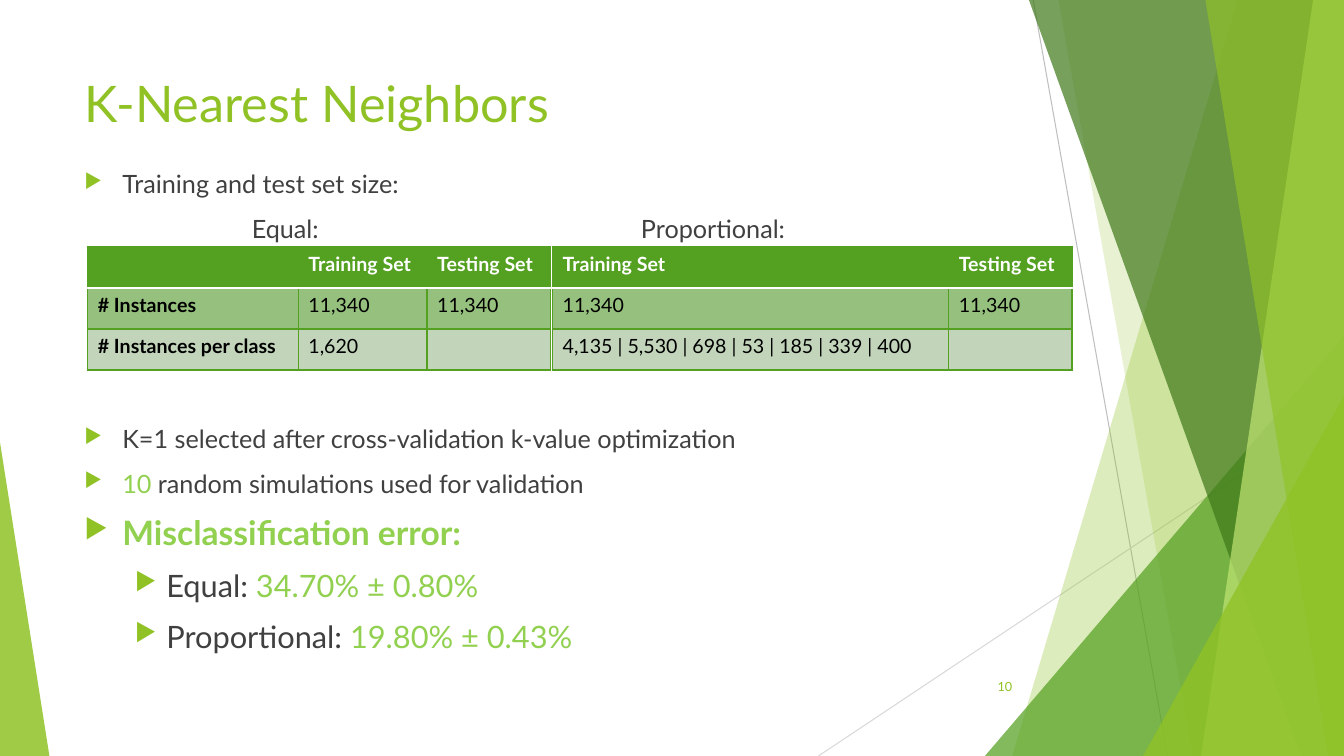
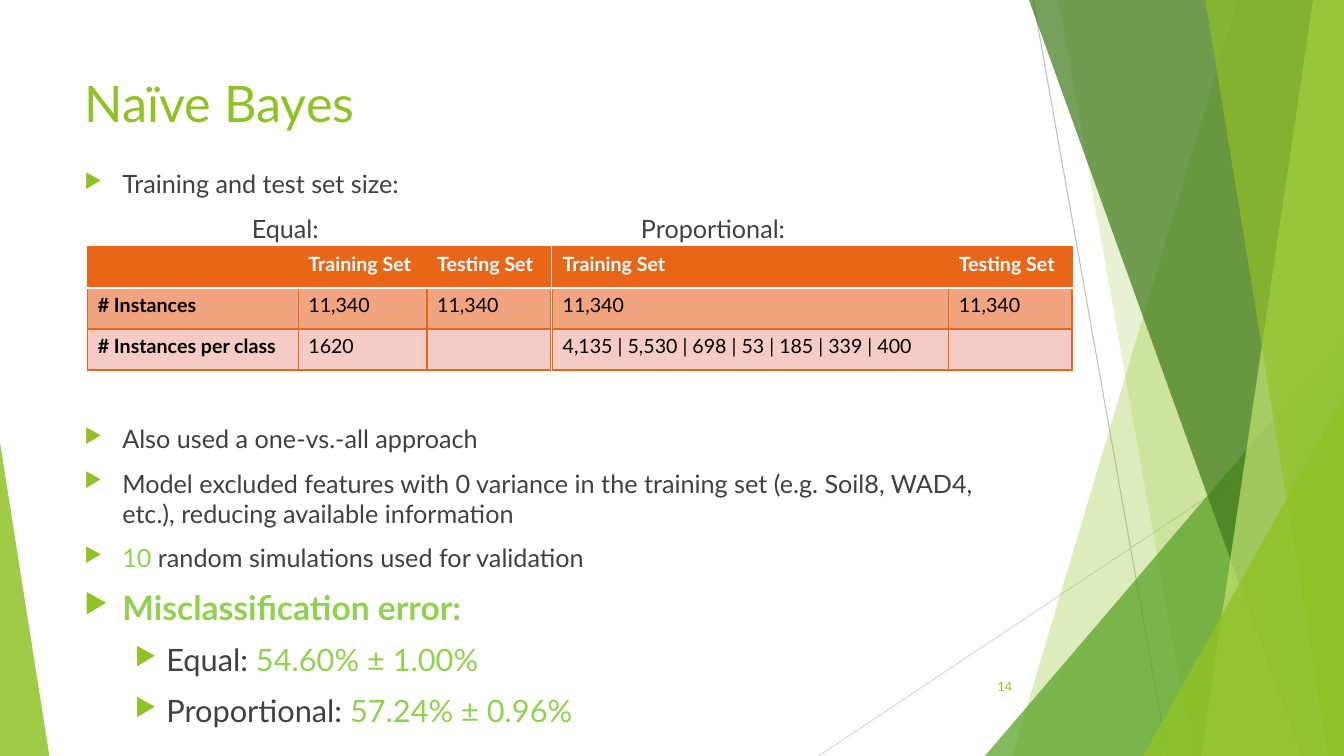
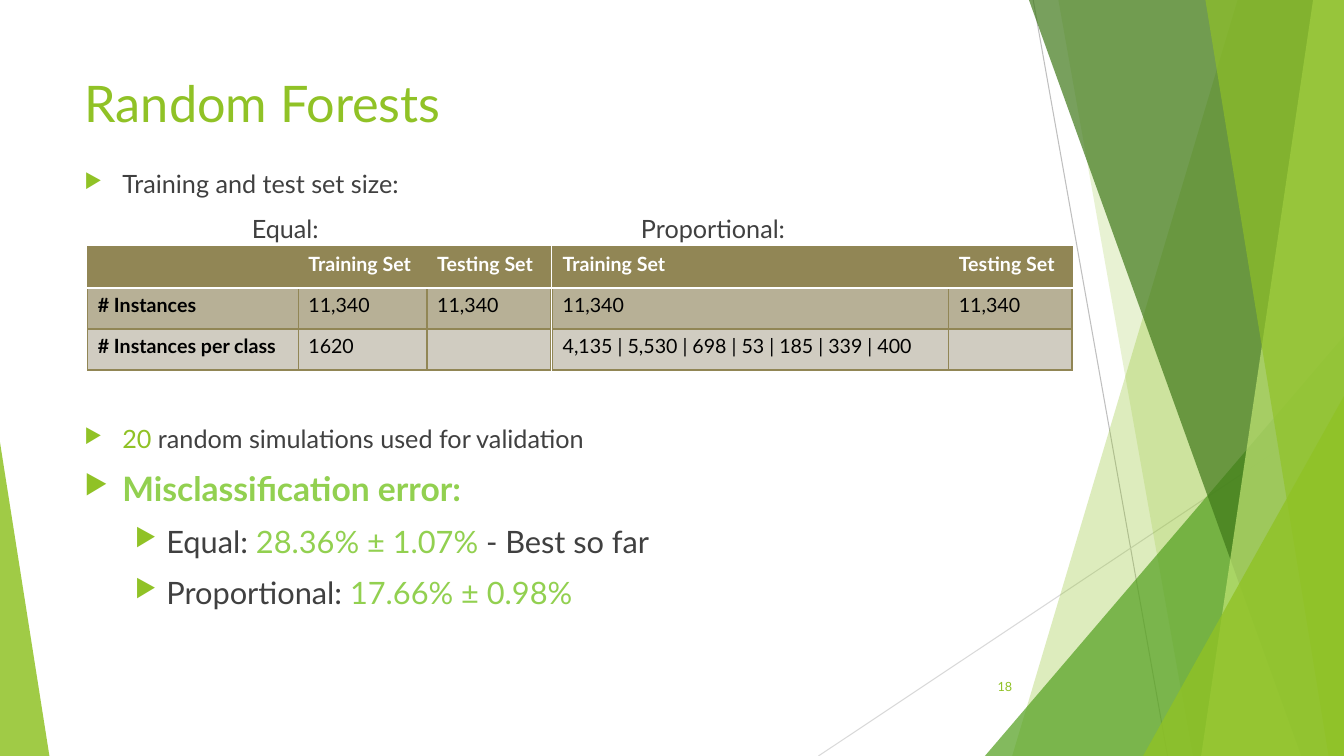
"""Builds three classifier result slides with a shared green facet design."""
from dataclasses import dataclass
from typing import Union

from lxml.etree import SubElement as Sub
from pptx import Presentation
from pptx.dml.color import RGBColor
from pptx.enum.shapes import MSO_CONNECTOR as Conn, MSO_SHAPE as Form
from pptx.enum.text import MSO_ANCHOR as Anchor, MSO_AUTO_SIZE as Fit, PP_ALIGN as Align
from pptx.oxml.ns import qn
from pptx.util import Pt

WIDTH, HEIGHT = 960, 540
FONT = "Lato"
GREEN, LEAF, MOSS, PALE = "90C226", "54A021", "3F7819", "C0E474"
DARK, LIME, WHITE, BLACK = "404040", "92D050", "FFFFFF", "000000"
LEFT, WIDE = 53.3, 676.8
GRID_TOP, ROW = 176.4, 29.3
HANG = ((27, 27), (58.5, 22.5))


@dataclass
class Facet:
    """A band from the top edge to the foot, filled out to the right edge."""
    top: float
    foot: float
    color: str
    alpha: int


@dataclass
class Wedge:
    """A right triangle standing on the foot of the slide."""
    left: float
    top: float
    width: float
    apex: int
    color: str
    alpha: int


@dataclass
class Ray:
    """A thin straight line."""
    start: tuple[float, float]
    end: tuple[float, float]
    color: str


@dataclass
class Run:
    """A piece of text, with a colour where it differs from its line."""
    text: str
    color: str = ""


@dataclass
class Line:
    """A bulleted paragraph."""
    runs: list[Run]
    size: int = 18
    level: int = 0
    color: str = DARK
    bold: bool = False


@dataclass
class Tint:
    """The header and row colours of a table."""
    head: str
    mid: str
    pale: str


@dataclass
class Grid:
    """A table, the label above it and its places."""
    label: str
    mark: float
    left: float
    cols: list[float]
    rows: list[list[str]]
    names: bool = False


@dataclass
class Page:
    """The content of one slide."""
    title: str
    number: str
    tint: Tint
    count: str
    notes: list[Line]
    equal: list[Run]
    prop: str


RAYS = [
    Ray((738, 0), (834, HEIGHT), "BFBFBF"),
    Ray((WIDTH, 290), (584.6, HEIGHT), "D9D9D9"),
]
DECOR = [
    Facet(884, 723, GREEN, 30),
    Facet(756, 852, GREEN, 20),
    Wedge(703.5, 240, 256.5, 1, LEAF, 72),
    Facet(735, 929.5, MOSS, 70),
    Facet(938, 858, PALE, 70),
    Facet(861, 949, GREEN, 65),
    Wedge(816.5, 283, 143.5, 1, GREEN, 80),
    Wedge(0, 316, 35.3, 0, GREEN, 85),
]
SIZES = Line([Run("Training and test set size:")])
RANDOM = " random simulations used for validation"
PAGES = [
    Page("K-Nearest Neighbors", "10", Tint(LEAF, "96C07D", "C2D5BB"), "1,620",
         [Line([Run("K=1 selected after cross-validation k-value optimization")]),
          Line([Run("10", LIME), Run(RANDOM)])],
         [Run("34.70% ± 0.80%", LIME)], "19.80% ± 0.43%"),
    Page("Naïve Bayes", "14", Tint("E76618", "F0A480", "F5CCC5"), "1620",
         [Line([Run("Also used a one-vs.-all approach")]),
          Line([Run("Model excluded features with 0 variance in the training set "
                    "(e.g. Soil8, WAD4, etc.), reducing available information")]),
          Line([Run("10", LIME), Run(RANDOM)])],
         [Run("54.60% ± 1.00%", LIME)], "57.24% ± 0.96%"),
    Page("Random Forests", "18", Tint("918655", "B7B096", "D0CCC1"), "1620",
         [Line([Run("20", GREEN), Run(RANDOM)])],
         [Run("28.36% ± 1.07% ", LIME), Run("- Best so far")], "17.66% ± 0.98%"),
]


def rgb(code: str) -> RGBColor:
    """Turn a hex string into a colour."""
    return RGBColor.from_string(code)


def style(font, size: float, color: str, bold: bool = False) -> None:
    """Set the shared typeface with size, colour and weight."""
    font.name, font.size, font.bold = FONT, Pt(size), bold
    font.color.rgb = rgb(color)


def draw_ray(slide, ray: Ray):
    """Draw a thin line without a shadow."""
    line = slide.shapes.add_connector(Conn.STRAIGHT, *map(Pt, ray.start + ray.end))
    line.line.color.rgb = rgb(ray.color)
    line.line.width = Pt(0.75)
    Sub(line.element.spPr, qn("a:effectLst"))
    return line


def draw_part(slide, part: Union[Facet, Wedge]):
    """Draw one translucent part of the design."""
    if isinstance(part, Facet):
        pen = slide.shapes.build_freeform(Pt(part.top), 0)
        corners = ((WIDTH, 0), (WIDTH, HEIGHT), (part.foot, HEIGHT))
        pen.add_line_segments([(Pt(x), Pt(y)) for x, y in corners], close=True)
        shape = pen.convert_to_shape()
    else:
        shape = slide.shapes.add_shape(
            Form.ISOSCELES_TRIANGLE, Pt(part.left), Pt(part.top),
            Pt(part.width), Pt(HEIGHT - part.top))
        shape.adjustments[0] = part.apex
    shape.fill.solid()
    shape.fill.fore_color.rgb = rgb(part.color)
    tone = shape.element.spPr.find(".//" + qn("a:srgbClr"))
    Sub(tone, qn("a:alpha"), val=str(part.alpha * 1000))
    shape.line.fill.background()
    shape.shadow.inherit = False
    return shape


def share_decor(slide) -> None:
    """Draw the design and move it to the layout of the slide."""
    parts = [draw_ray(slide, ray) for ray in RAYS]
    parts += [draw_part(slide, part) for part in DECOR]
    for part in parts:
        slide.slide_layout.shapes.element.append(part.element)


def add_title(slide, text: str) -> None:
    """Place and format the title."""
    title = slide.shapes.title
    title.left, title.top = Pt(LEFT), Pt(48.2)
    title.width, title.height = Pt(WIDE), Pt(103.7)
    frame = title.text_frame
    frame.text = text
    frame.vertical_anchor, frame.auto_size = Anchor.TOP, Fit.NONE
    para = frame.paragraphs[0]
    para.alignment = Align.LEFT
    style(para.font, 36, GREEN)


def add_box(slide, left: float, top: float, width: float, height: float):
    """Add a wrapping text box and return its frame."""
    box = slide.shapes.add_textbox(Pt(left), Pt(top), Pt(width), Pt(height))
    box.text_frame.word_wrap = True
    return box.text_frame


def add_text(slide, text: str, left: float, top: float, width: float, size: float,
             color: str, align: Align = Align.LEFT) -> None:
    """Add a single line of text."""
    frame = add_box(slide, left, top, width, 28.8)
    frame.vertical_anchor = Anchor.MIDDLE
    para = frame.paragraphs[0]
    para.text, para.alignment = text, align
    style(para.font, size, color)


def add_mark(para, level: int) -> None:
    """Give a paragraph its hanging triangle bullet."""
    props = para._p.get_or_add_pPr()
    left, hang = HANG[level]
    props.set("marL", str(Pt(left)))
    props.set("indent", str(-Pt(hang)))
    Sub(Sub(props, qn("a:buClr")), qn("a:srgbClr"), val=GREEN)
    Sub(props, qn("a:buSzPct"), val="80000")
    Sub(props, qn("a:buChar"), char="▶")


def add_list(slide, top: float, height: float, lines: list[Line]) -> None:
    """Add a bulleted list."""
    frame = add_box(slide, LEFT, top, WIDE, height)
    for i, line in enumerate(lines):
        para = frame.add_paragraph() if i else frame.paragraphs[0]
        para.level = line.level
        para.space_before = Pt(10 if i else 0)
        add_mark(para, line.level)
        style(para.font, line.size, line.color, line.bold)
        for item in line.runs:
            run = para.add_run()
            run.text = item.text
            if item.color:
                run.font.color.rgb = rgb(item.color)


def add_edge(cell, side: str, color: str, width: float) -> None:
    """Draw one border of a cell."""
    edge = Sub(cell._tc.get_or_add_tcPr(), qn("a:ln" + side), w=str(Pt(width)))
    Sub(Sub(edge, qn("a:solidFill")), qn("a:srgbClr"), val=color)


def add_grid(slide, grid: Grid, tint: Tint) -> None:
    """Add a label and the table under it."""
    add_text(slide, grid.label, grid.mark - 7.2, 148.5, 150, 18, DARK)
    count = len(grid.rows)
    table = slide.shapes.add_table(
        count, len(grid.cols), Pt(grid.left), Pt(GRID_TOP),
        Pt(sum(grid.cols)), Pt(ROW * count)).table
    table.horz_banding = False
    for col, width in zip(table.columns, grid.cols):
        col.width = Pt(width)
    fills = (tint.head, tint.mid, tint.pale)
    for r, texts in enumerate(grid.rows):
        table.rows[r].height = Pt(ROW)
        for c, text in enumerate(texts):
            cell = table.cell(r, c)
            for side in "LRTB":
                white = (r, side) in ((0, "B"), (1, "T"))
                add_edge(cell, side, WHITE if white else tint.head, 1.5 if white else 1)
            cell.fill.solid()
            cell.fill.fore_color.rgb = rgb(fills[r])
            cell.text = text
            bold = r == 0 or (grid.names and c == 0)
            style(cell.text_frame.paragraphs[0].font, 14, BLACK if r else WHITE, bold)


def add_page(slide, page: Page) -> None:
    """Fill one slide."""
    add_title(slide, page.title)
    add_text(slide, page.number, 676, 476, 54, 9, GREEN, Align.RIGHT)
    add_list(slide, 116.6, 30, [SIZES])
    heads = ["Training Set", "Testing Set"]
    total = ["11,340", "11,340"]
    split = "4,135 | 5,530 | 698 | 53 | 185 | 339 | 400"
    add_grid(slide, Grid("Equal:", 180, 62.7, [150.4, 92, 88], [
        ["", *heads], ["# Instances", *total],
        ["# Instances per class", page.count, ""]], names=True), page.tint)
    add_grid(slide, Grid("Proportional:", 458, 394.7, [283, 88], [
        heads, total, [split, ""]]), page.tint)
    add_list(slide, 299.2, 213, page.notes + [
        Line([Run("Misclassification error:")], 24, color=LIME, bold=True),
        Line([Run("Equal: "), *page.equal], 22, 1),
        Line([Run("Proportional: "), Run(page.prop, LIME)], 22, 1)])


def main() -> None:
    """Build and save the slides."""
    deck = Presentation()
    deck.slide_width, deck.slide_height = Pt(WIDTH), Pt(HEIGHT)
    layout = deck.slide_layouts[5]
    for i, page in enumerate(PAGES):
        slide = deck.slides.add_slide(layout)
        if i == 0:
            share_decor(slide)
        add_page(slide, page)
    deck.save("out.pptx")


if __name__ == "__main__":
    main()
